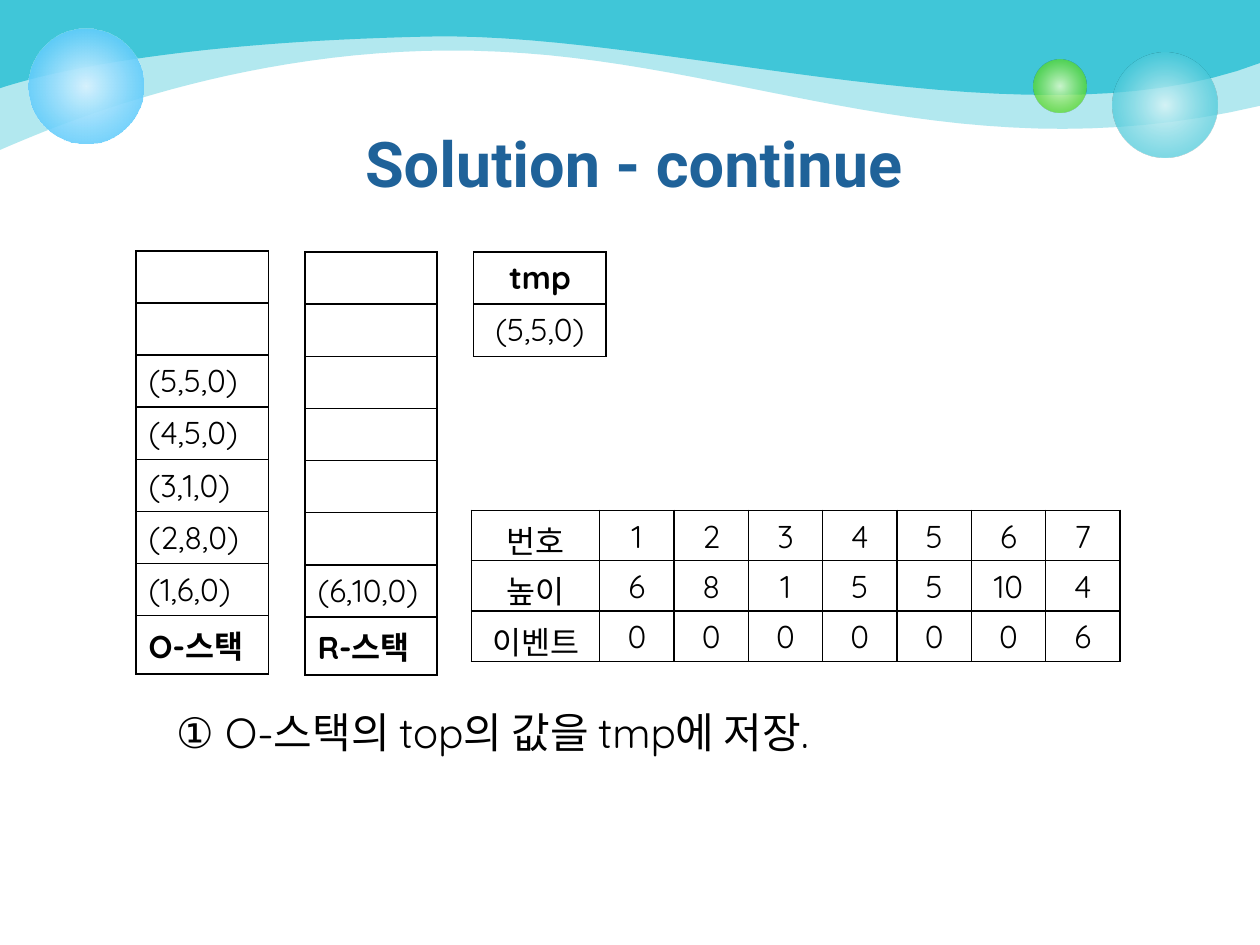
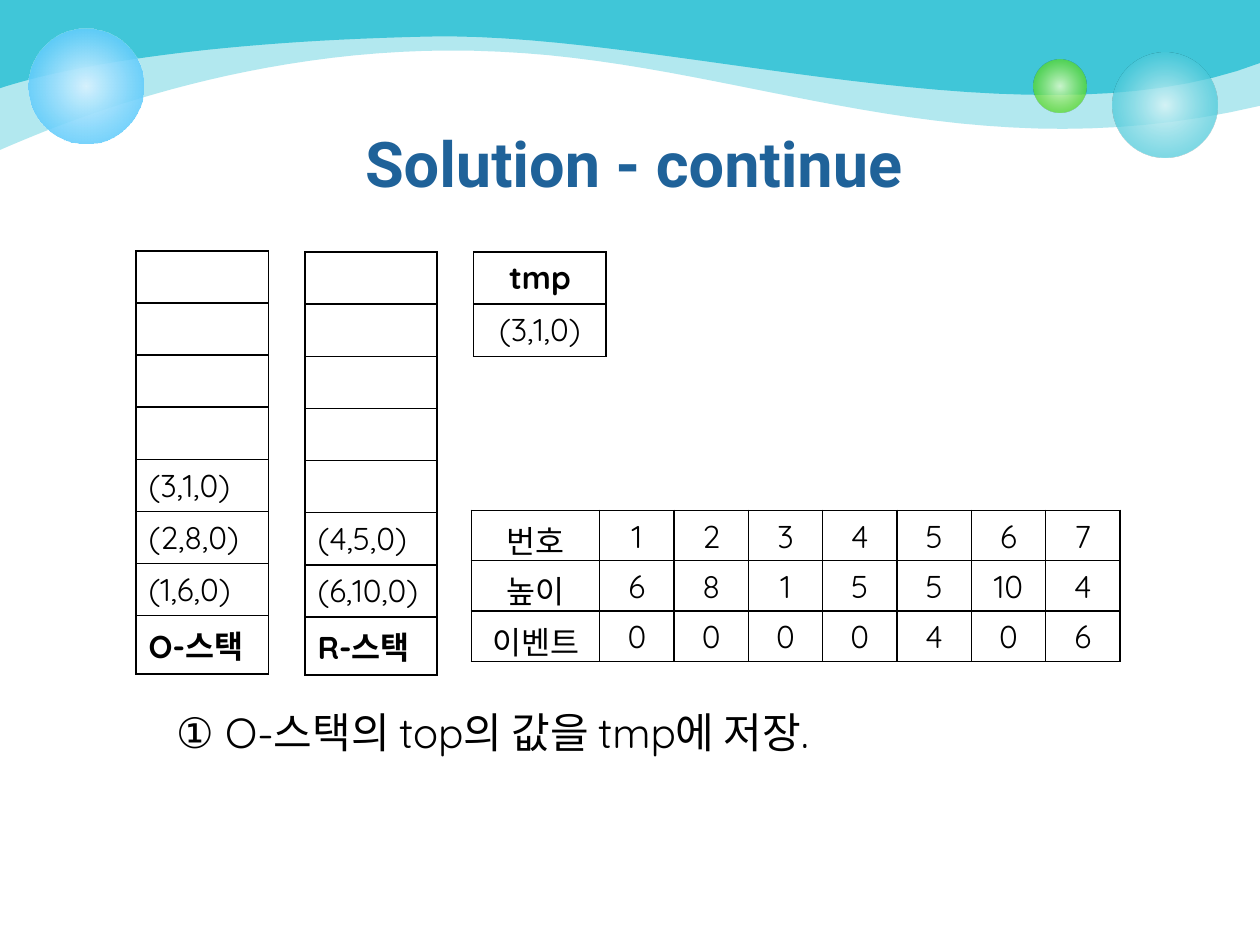
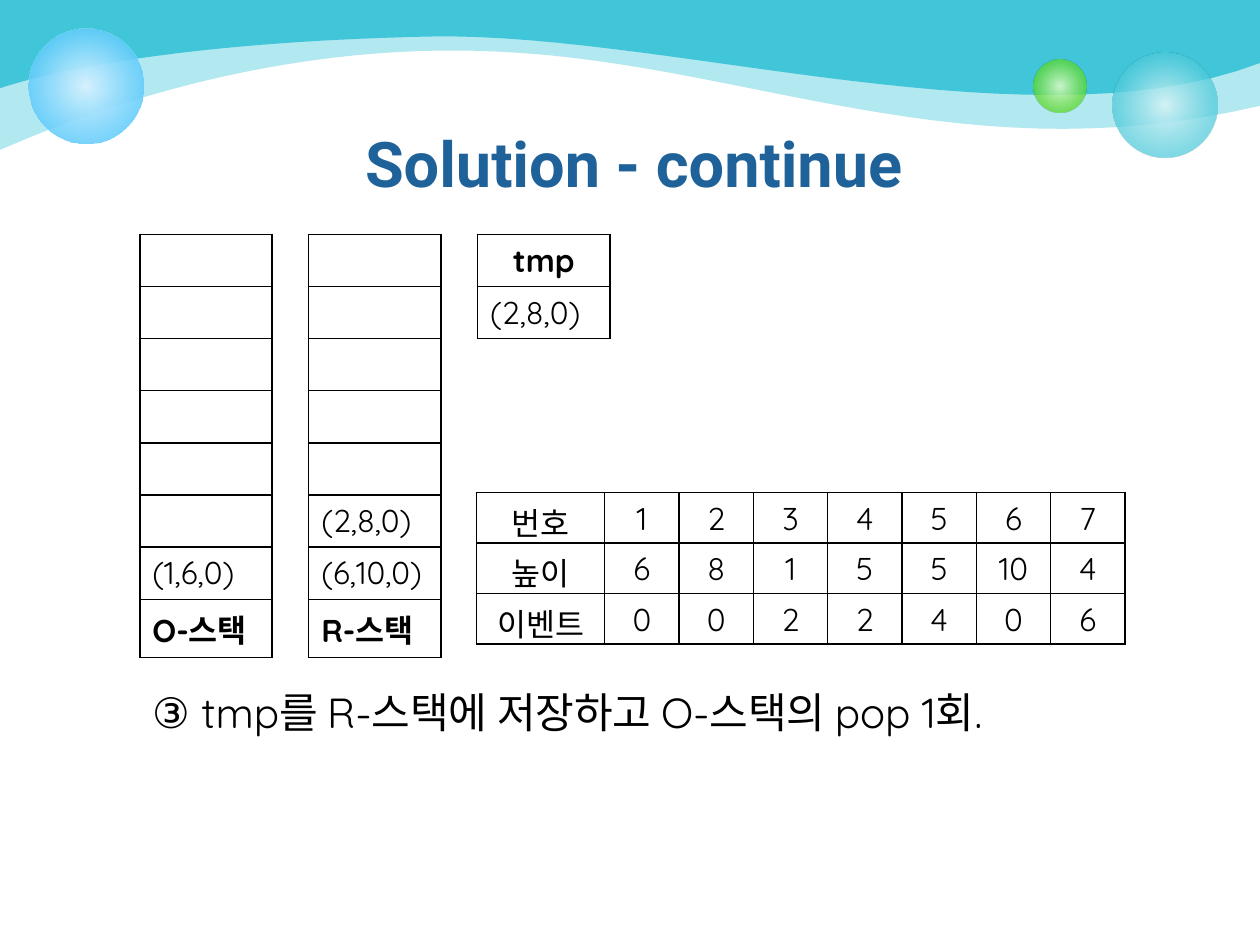
from lxml import etree
from pptx import Presentation
from pptx.dml.color import RGBColor
from pptx.enum.shapes import MSO_SHAPE
from pptx.enum.text import MSO_ANCHOR, PP_ALIGN
from pptx.oxml import parse_xml
from pptx.oxml.ns import nsdecls, qn
from pptx.util import Inches, Pt

BLACK = RGBColor(0x00, 0x00, 0x00)
TEAL = RGBColor(0x40, 0xC6, 0xD8)
PALE_TEAL = RGBColor(0xD9, 0xF4, 0xF7)
GREEN = RGBColor(0x4C, 0xD4, 0x16)
PALE_GREEN = RGBColor(0xDA, 0xFA, 0xCD)
BLUE = RGBColor(0x33, 0xBD, 0xFB)
PALE_BLUE = RGBColor(0xD6, 0xF2, 0xFE)
TITLE_BLUE = RGBColor(0x1F, 0x62, 0x99)

TITLE_FONT, BODY_FONT = "Roboto", "Quicksand"
STACK_ROWS, STACK_PITCH = 7, 1.34
CURVE_STEPS = 30


def style_text(p, size, font=BODY_FONT, color=BLACK, bold=False, align=None):
    p.alignment = align
    for r in p.runs:
        r.font.name, r.font.size, r.font.bold = font, Pt(size), bold
        r.font.color.rgb = color


def add_grid(s, left, top, widths, row_height, rows, bold_row=None, aligns=None):
    """Add a black-ruled, unfilled table; aligns holds one alignment per row."""
    frame = s.shapes.add_table(len(rows), len(widths), Inches(left), Inches(top),
                               Inches(sum(widths)), Inches(row_height * len(rows)))
    table = frame.table
    table.first_row = table.horz_banding = False
    for column, width in zip(table.columns, widths):
        column.width = Inches(width)
    for i, values in enumerate(rows):
        table.rows[i].height = Inches(row_height)
        for j, value in enumerate(values):
            cell = table.cell(i, j)
            p = cell.text_frame.paragraphs[0]
            p.text = value
            p.font.size, p.font.name = Pt(18), BODY_FONT
            style_text(p, 18, bold=i == bold_row, align=aligns and aligns[i])
            for side in ("lnL", "lnR", "lnT", "lnB"):
                cell._tc.get_or_add_tcPr().append(parse_xml(
                    f'<a:{side} {nsdecls("a")} w="12700"><a:solidFill>'
                    f'<a:srgbClr val="{BLACK}"/></a:solidFill></a:{side}>'))
            cell.fill.background()


prs = Presentation()
prs.slide_width, prs.slide_height = Inches(10), Inches(7.5)
layout = prs.slide_layouts[5]
slides = [prs.slides.add_slide(layout) for _ in range(3)]

# Shared decoration: drawn on the first slide, then moved to the layout
decor = []

# Each wave: Bezier points of its lower edge, opacity in percent
WAVES = [
    ([(0, 1.19), (0.33, 1.05), (1.97, 0.31), (3.96, 0.41),
      (5.95, 0.5), (7.62, 1.4), (10, 0.84)], 40),
    ([(0, 0.7), (0.45, 0.55), (1.53, 0.33), (3.41, 0.29),
      (5.29, 0.25), (8.2, 1.19), (10, 0.5)], 100),
]
for points, opacity in WAVES:
    edge = [points[0]]
    for start in (0, 3):
        a, b, c, d = points[start:start + 4]
        for step in range(1, CURVE_STEPS + 1):
            t = step / CURVE_STEPS
            u = 1 - t
            edge.append([u**3 * a[k] + 3 * u * u * t * b[k] + 3 * u * t * t * c[k] + t**3 * d[k]
                         for k in (0, 1)])
    builder = slides[0].shapes.build_freeform(0, 0)
    builder.add_line_segments([(Inches(x), Inches(y)) for x, y in edge + [(10, 0)]])
    wave = builder.convert_to_shape()
    wave.fill.solid()
    wave.fill.fore_color.rgb = TEAL
    color = wave._element.spPr.find(".//" + qn("a:srgbClr"))
    etree.SubElement(color, qn("a:alpha"), val=str(opacity * 1000))
    decor.append(wave)

# Each bubble: left, top, size, gradient stops (position, colour, opacity)
BUBBLES = [
    (8.83, 0.42, 0.83, [(0, PALE_TEAL, 90), (76, TEAL, 70)]),
    (8.2, 0.47, 0.42, [(0, PALE_GREEN, 90), (76, GREEN, 70)]),
    (0.23, 0.23, 0.91, [(0, PALE_BLUE, 100), (100, BLUE, 80)]),
]
for left, top, size, stops in BUBBLES:
    bubble = slides[0].shapes.add_shape(MSO_SHAPE.OVAL, Inches(left), Inches(top),
                                        Inches(size), Inches(size))
    bubble.fill.background()
    stop_xml = "".join(
        f'<a:gs pos="{pos * 1000}"><a:srgbClr val="{rgb}">'
        f'<a:alpha val="{opacity * 1000}"/></a:srgbClr></a:gs>' for pos, rgb, opacity in stops)
    spPr = bubble._element.spPr
    spPr.replace(spPr.find(qn("a:noFill")), parse_xml(
        f'<a:gradFill {nsdecls("a")} rotWithShape="1"><a:gsLst>{stop_xml}</a:gsLst>'
        '<a:path path="circle"><a:fillToRect l="50000" t="50000" r="50000" b="50000"/>'
        '</a:path></a:gradFill>'))
    decor.append(bubble)

for i, shape in enumerate(decor):
    shape.line.fill.background()
    shape.shadow.inherit = False
    layout.shapes.element.insert(2 + i, shape._element)

# Stack contents run from top to bottom
STEPS = [
    dict(o_stack=["(5,5,0)", "(4,5,0)", "(3,1,0)", "(2,8,0)", "(1,6,0)"],
         r_stack=["(6,10,0)"], tmp="(5,5,0)", tmp_align=PP_ALIGN.CENTER,
         events="0000006", left=1.08, o_top=1.99, top=2, data_at=(3.74, 4.05),
         caption="① O-스택의 top의 값을 tmp에 저장.", caption_at=(1.3, 5.56, 7.46, 0.58)),
    dict(o_stack=["(3,1,0)", "(2,8,0)", "(1,6,0)"],
         r_stack=["(4,5,0)", "(6,10,0)"], tmp="(3,1,0)", tmp_align=PP_ALIGN.CENTER,
         events="0000406", left=1.08, o_top=1.99, top=2, data_at=(3.74, 4.05),
         caption="① O-스택의 top의 값을 tmp에 저장.", caption_at=(1.3, 5.56, 7.46, 0.58)),
    dict(o_stack=["(1,6,0)"],
         r_stack=["(2,8,0)", "(6,10,0)"], tmp="(2,8,0)", tmp_align=PP_ALIGN.LEFT,
         events="0022406", left=1.11, o_top=1.86, top=1.86, data_at=(3.78, 3.91),
         caption="③ tmp를 R-스택에 저장하고 O-스택의 pop 1회.", caption_at=(1.11, 5.4, 7.78, 0.47)),
]
for s, step in zip(slides, STEPS):
    title = s.shapes.title
    title.left, title.top, title.width, title.height = map(Inches, (0.53, 0.89, 9, 0.79))
    title.text_frame.text = "Solution - continue"
    title.text_frame.vertical_anchor = MSO_ANCHOR.MIDDLE
    style_text(title.text_frame.paragraphs[0], 36, TITLE_FONT, TITLE_BLUE, True, PP_ALIGN.CENTER)

    stacks = [("O-스택", step["o_stack"], step["o_top"]), ("R-스택", step["r_stack"], step["top"])]
    for i, (name, items, top) in enumerate(stacks):
        values = [""] * (STACK_ROWS - len(items)) + items + [name]
        add_grid(s, step["left"] + i * STACK_PITCH, top, [1.05], 0.41,
                 [[v] for v in values], bold_row=STACK_ROWS)
    add_grid(s, step["left"] + 2 * STACK_PITCH, step["top"], [1.05], 0.41,
             [["tmp"], [step["tmp"]]], bold_row=0, aligns=[PP_ALIGN.CENTER, step["tmp_align"]])

    box = s.shapes.add_textbox(*map(Inches, step["caption_at"]))
    box.text_frame.word_wrap = True
    box.text_frame.text = step["caption"]
    style_text(box.text_frame.paragraphs[0], 24)

    data = [["번호", *"1234567"],
            ["높이", "6", "8", "1", "5", "5", "10", "4"],
            ["이벤트", *step["events"]]]
    add_grid(s, *step["data_at"], [1.02] + [0.59] * 7, 0.4, data, aligns=[PP_ALIGN.CENTER] * 3)

prs.save("out.pptx")
